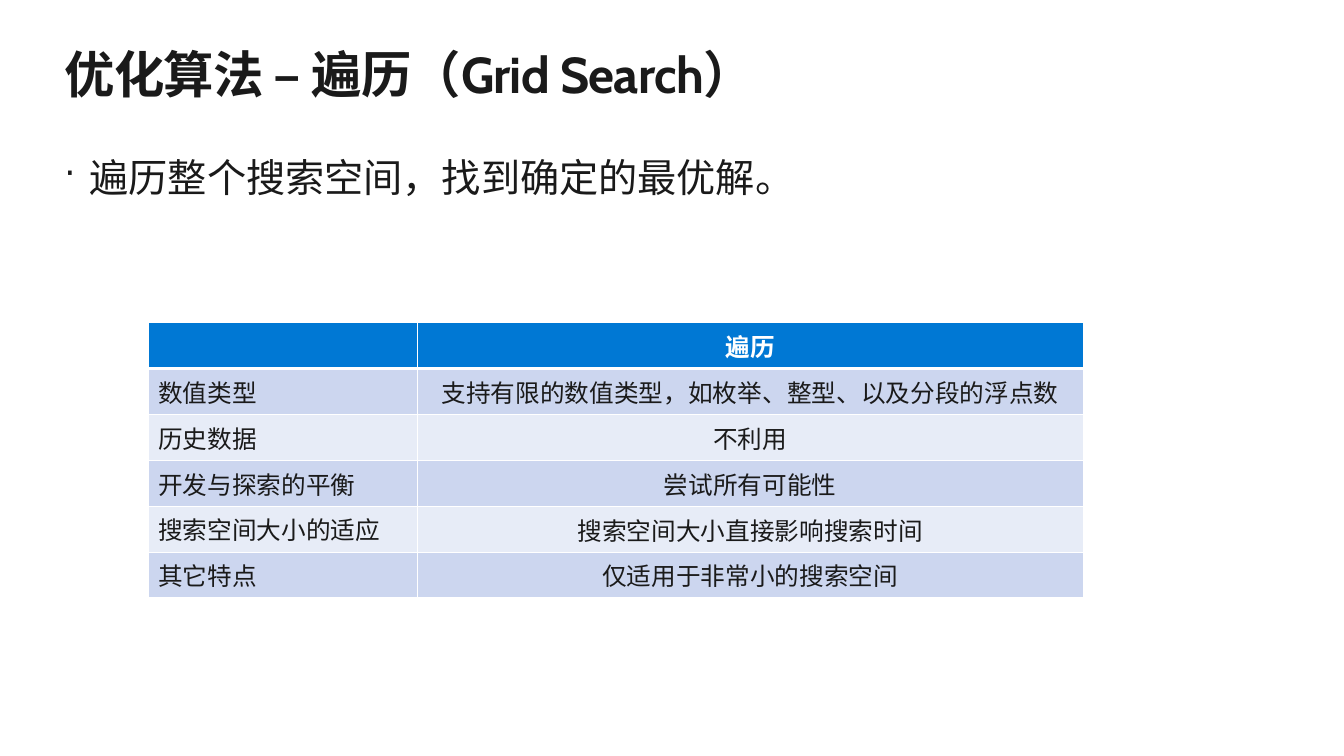
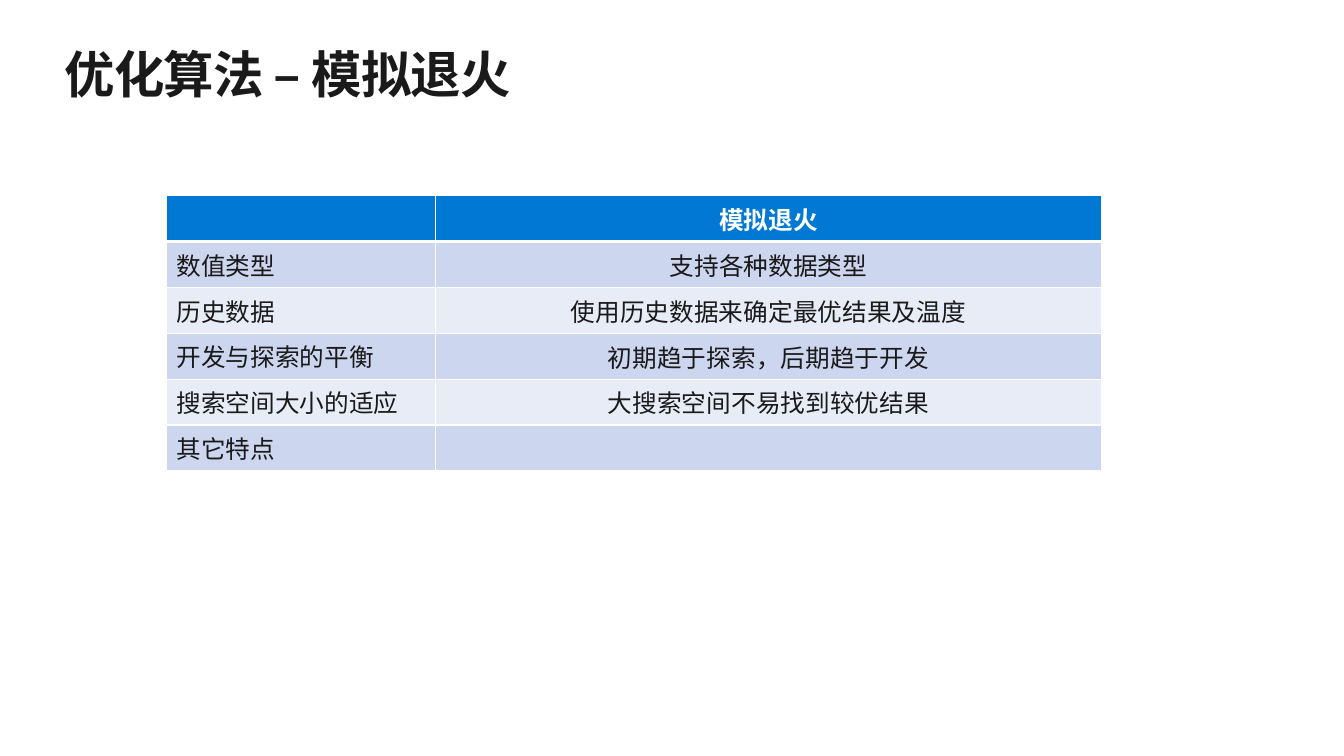
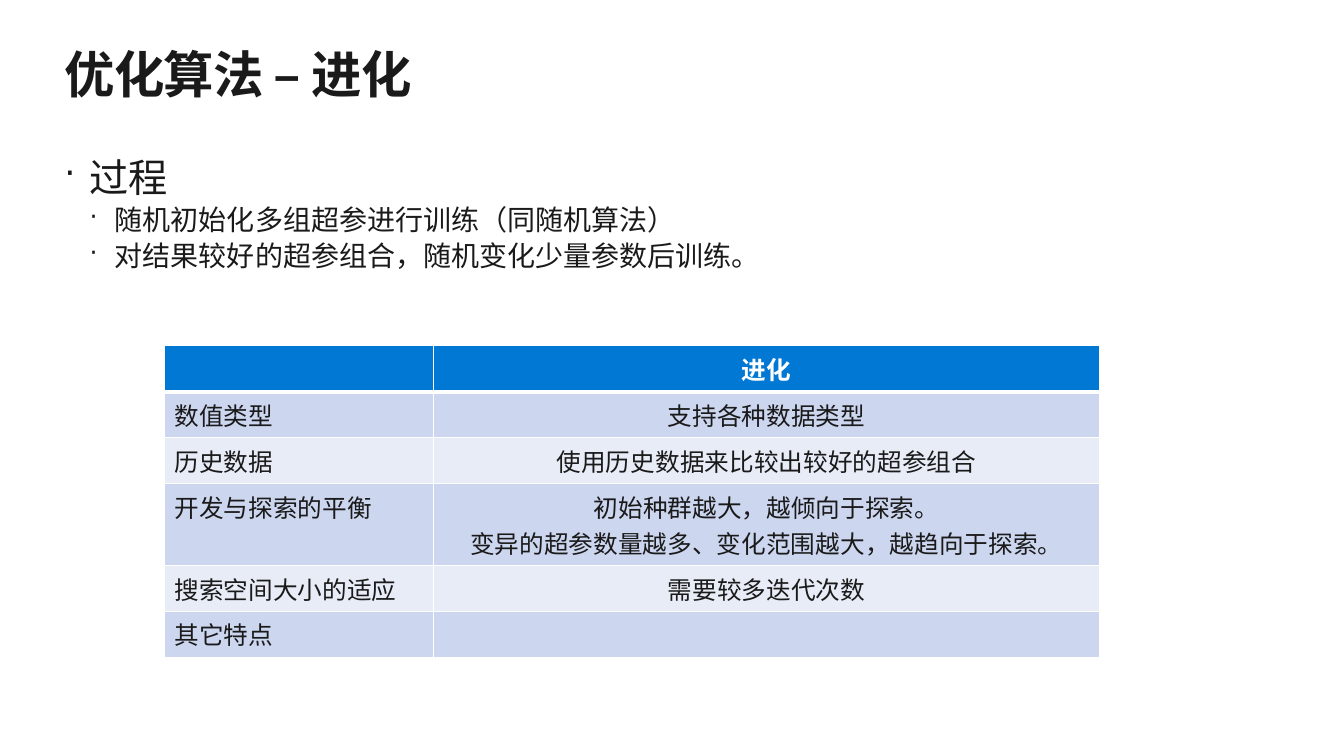
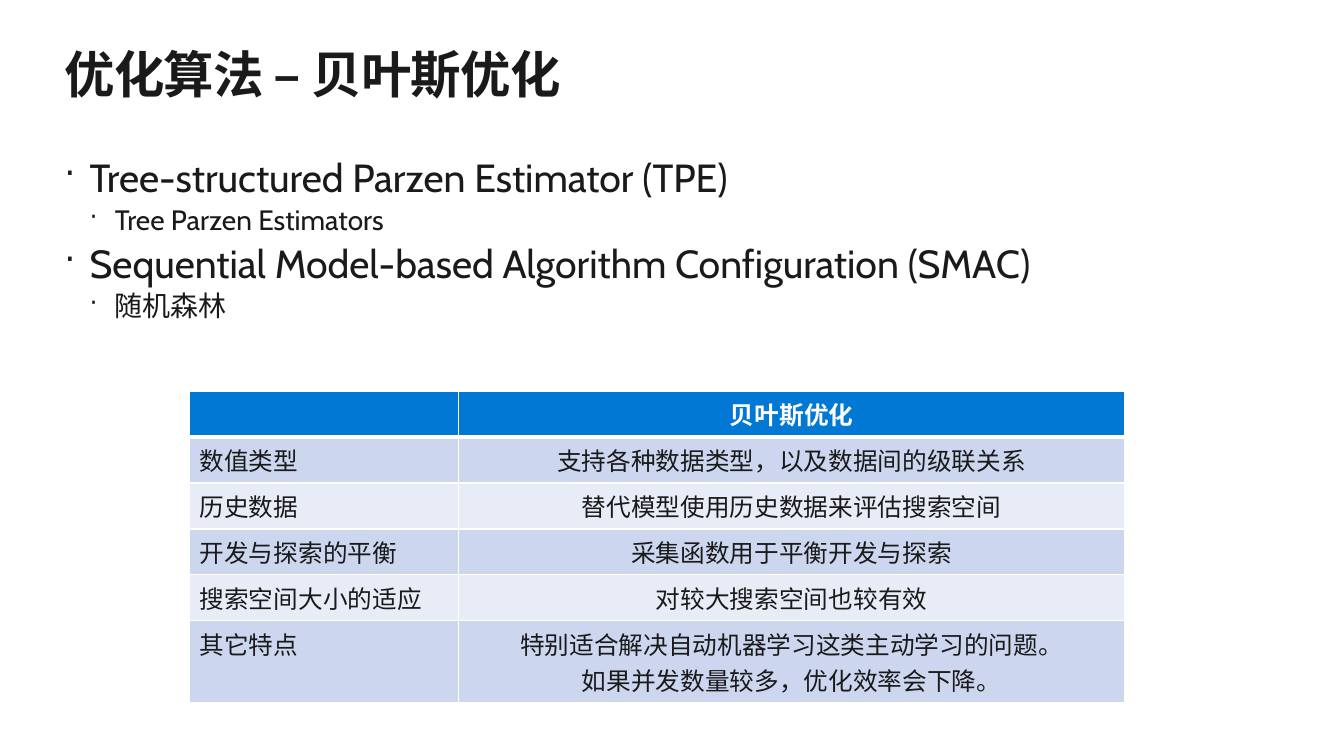
import pptx
import pptx.dml.color
import pptx.enum.text
import pptx.oxml
import pptx.oxml.ns
import pptx.util

Pt = pptx.util.Pt
RGB = pptx.dml.color.RGBColor
ALIGN = pptx.enum.text.PP_ALIGN
ANCHOR = pptx.enum.text.MSO_ANCHOR

WHITE = RGB(0xFF, 0xFF, 0xFF)
INK = RGB(0x1A, 0x1A, 0x1A)
BLUE = RGB(0x00, 0x78, 0xD4)
BANDS = (RGB(0xE7, 0xEC, 0xF7), RGB(0xCC, 0xD6, 0xEF))

FONT = "Cabin"
SIZES = (28, 20)
LEFT, WIDTH = 46, 868
COLS = (192.2, 475.9)
ROW = 29.2
LABELS = ("数值类型", "历史数据", "开发与探索的平衡", "搜索空间大小的适应", "其它特点")

# Each slide: title, list of (level, text), table corner, table head, table values
SLIDES = (
    ("优化算法 – 遍历（Grid Search）",
     ((0, "遍历整个搜索空间，找到确定的最优解。"),),
     (105.8, 230.4), "遍历",
     ("支持有限的数值类型，如枚举、整型、以及分段的浮点数", "不利用", "尝试所有可能性",
      "搜索空间大小直接影响搜索时间", "仅适用于非常小的搜索空间")),
    ("优化算法 – 模拟退火", (),
     (118.8, 139.6), "模拟退火",
     ("支持各种数据类型", "使用历史数据来确定最优结果及温度", "初期趋于探索，后期趋于开发",
      "大搜索空间不易找到较优结果", "")),
    ("优化算法 – 进化",
     ((0, "过程"),
      (1, "随机初始化多组超参进行训练（同随机算法）"),
      (1, "对结果较好的超参组合，随机变化少量参数后训练。")),
     (117.4, 247), "进化",
     ("支持各种数据类型", "使用历史数据来比较出较好的超参组合",
      "初始种群越大，越倾向于探索。\n变异的超参数量越多、变化范围越大，越趋向于探索。",
      "需要较多迭代次数", "")),
    ("优化算法 – 贝叶斯优化",
     ((0, "Tree-structured Parzen Estimator (TPE)"),
      (1, "Tree Parzen Estimators"),
      (0, "Sequential Model-based Algorithm Configuration (SMAC)"),
      (1, "随机森林")),
     (135.4, 279.4), "贝叶斯优化",
     ("支持各种数据类型，以及数据间的级联关系", "替代模型使用历史数据来评估搜索空间",
      "采集函数用于平衡开发与探索", "对较大搜索空间也较有效",
      "特别适合解决自动机器学习这类主动学习的问题。\n如果并发数量较多，优化效率会下降。")),
)


def write(para, text, size, color=INK, bold=False):
    run = para.add_run()
    run.text = text
    font = run.font
    font.name, font.size, font.bold = FONT, Pt(size), bold
    font.color.rgb = color
    return run


def frame(shape):
    """Give the text frame no insets, wrapping and a top anchor."""
    text = shape.text_frame
    text.margin_left = text.margin_right = text.margin_top = text.margin_bottom = 0
    text.word_wrap = True
    text.auto_size = pptx.enum.text.MSO_AUTO_SIZE.NONE
    text.vertical_anchor = ANCHOR.TOP
    return text


def node(parent, tag, **attrs):
    child = pptx.oxml.ns.qn(tag)
    child = parent.makeelement(child, {key: str(val) for key, val in attrs.items()})
    parent.append(child)
    return child


def title(slide, text):
    shape = slide.shapes.title
    shape.left, shape.top, shape.width, shape.height = map(Pt, (LEFT, 36, WIDTH, 44))
    para = frame(shape).paragraphs[0]
    para.alignment = ALIGN.LEFT
    para.line_spacing = 0.9
    run = write(para, text, 36, bold=True)
    run.font._element.set("spc", "-50")


def points(slide, items, top):
    """Add the two-level bullet list."""
    high = sum(SIZES[level] * 1.3 for level, _ in items)
    text = frame(slide.shapes.add_textbox(Pt(LEFT), Pt(top), Pt(WIDTH), Pt(high)))
    for num, (level, words) in enumerate(items):
        para = text.add_paragraph() if num else text.paragraphs[0]
        para.level = level
        para.line_spacing = 0.9
        props = para._p.get_or_add_pPr()
        props.set("marL", str(Pt(18 * (level + 1))))
        props.set("indent", str(Pt(-18)))
        if num:
            node(node(props, "a:spcBef"), "a:spcPct", val=20000)
        node(props, "a:buSzPct", val=90000)
        node(props, "a:buChar", char="·")
        write(para, words, SIZES[level])


def border(cell, row):
    """Draw white cell edges, thick under the head row."""
    props = cell._tc.get_or_add_tcPr()
    thick = {("a:lnB", 0), ("a:lnT", 1)}
    for tag in ("a:lnL", "a:lnR", "a:lnT", "a:lnB"):
        line = node(props, tag, w=Pt(3 if (tag, row) in thick else 1))
        node(node(line, "a:solidFill"), "a:srgbClr", val=WHITE)


def grid(slide, corner, head, values):
    rows = [("", head), *zip(LABELS, values)]
    left, top = corner
    table = slide.shapes.add_table(len(rows), len(COLS), Pt(left), Pt(top),
                                   Pt(sum(COLS)), Pt(ROW * len(rows))).table
    table.horz_banding = False
    for col, wide in zip(table.columns, COLS):
        col.width = Pt(wide)
    for r, texts in enumerate(rows):
        table.rows[r].height = Pt(ROW)
        for c, words in enumerate(texts):
            cell = table.cell(r, c)
            border(cell, r)
            cell.fill.solid()
            cell.fill.fore_color.rgb = BANDS[r % 2] if r else BLUE
            cell.vertical_anchor = ANCHOR.MIDDLE if c else ANCHOR.TOP
            if not words:
                continue
            text = cell.text_frame
            for num, line in enumerate(words.split("\n")):
                para = text.add_paragraph() if num else text.paragraphs[0]
                para.alignment = ALIGN.CENTER if c else ALIGN.LEFT
                write(para, line, 17.6, INK if r else WHITE, r == 0)


def main():
    deck = pptx.Presentation()
    deck.slide_width, deck.slide_height = Pt(960), Pt(540)
    for name, items, corner, head, values in SLIDES:
        slide = deck.slides.add_slide(deck.slide_layouts[5])
        title(slide, name)
        if items:
            points(slide, items, 113)
        grid(slide, corner, head, values)
    deck.save("out.pptx")


if __name__ == "__main__":
    main()
